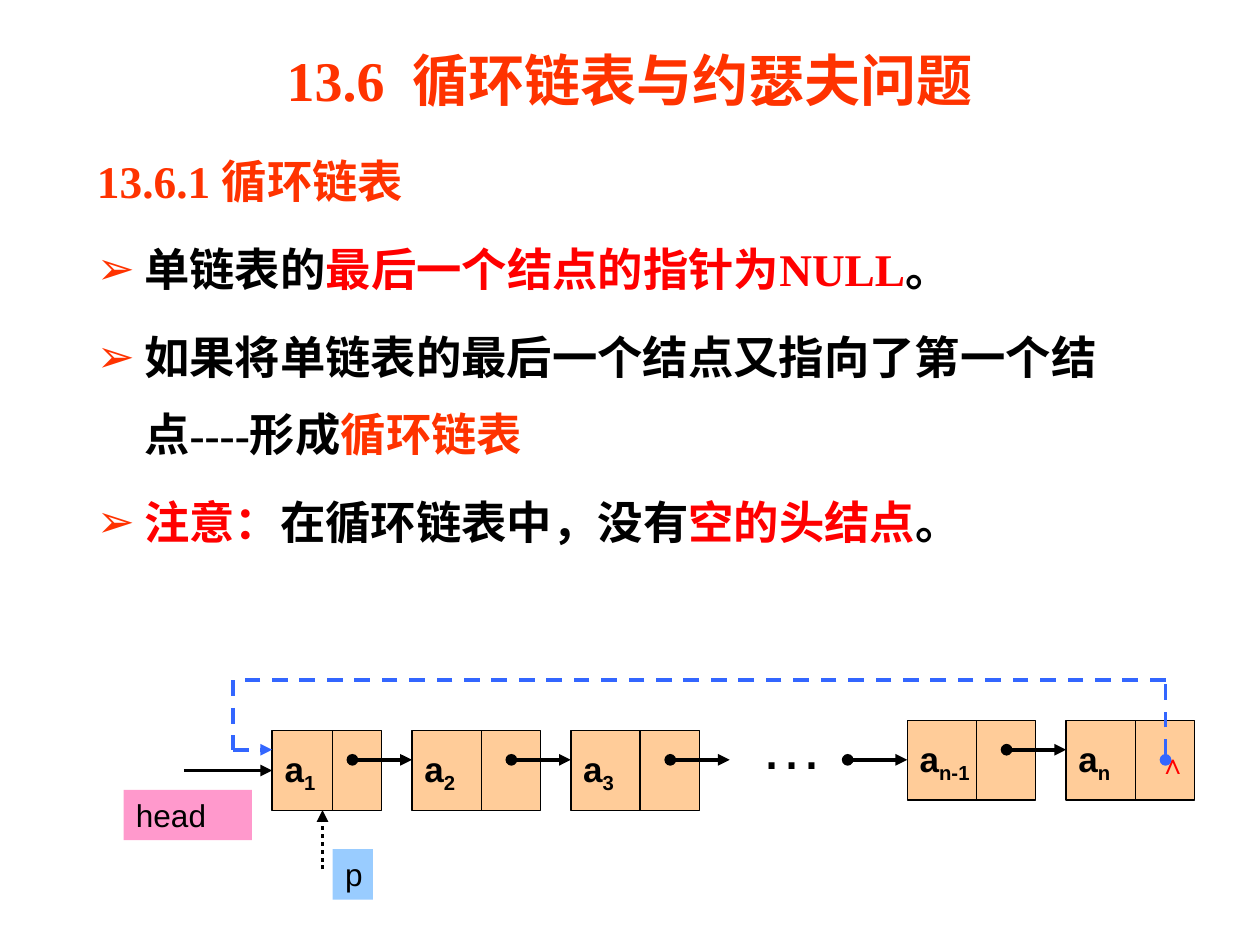
from itertools import pairwise

from lxml import etree
from pptx import Presentation
from pptx.dml.color import RGBColor
from pptx.enum import dml, shapes, text
from pptx.oxml.ns import qn
from pptx.util import Pt

BLACK = RGBColor(0x00, 0x00, 0x00)
RED = RGBColor(0xFF, 0x00, 0x00)
ORANGE = RGBColor(0xFF, 0x33, 0x00)
PEACH = RGBColor(0xFF, 0xCC, 0x99)
PINK = RGBColor(0xFF, 0x99, 0xCC)
SKY = RGBColor(0x99, 0xCC, 0xFF)
BLUE = RGBColor(0x33, 0x66, 0xFF)
SERIF, SANS = "Times New Roman", "Arial"

NODE_W, NODE_H = 73.5, 45.4
DATA_W = 39.6
POINTER_Y = 16.6
POINTER_LEN = 34


def add_text(paragraph, words, size=20, font=SANS, color=BLACK, bold=False, baseline=0):
    run = paragraph.add_run()
    run.text = words
    run.font.size = Pt(size)
    run.font.name = font
    run.font.bold = bold
    run.font.color.rgb = color
    if baseline:
        run._r.get_or_add_rPr().set("baseline", str(baseline * 1000))


def move(shape, left, top, width, height):
    shape.left, shape.top = Pt(left), Pt(top)
    shape.width, shape.height = Pt(width), Pt(height)


def add_label(slide, box, words, fill=None, **style):
    """Add a text box at (left, top, width, height) and return its paragraph."""
    label = slide.shapes.add_textbox(*map(Pt, box))
    label.text_frame.word_wrap = True
    if fill is not None:
        label.fill.solid()
        label.fill.fore_color.rgb = fill
    paragraph = label.text_frame.paragraphs[0]
    add_text(paragraph, words, **style)
    return paragraph


def add_line(slide, start, end, color=BLACK, width=2.25, dash=None, oval=False, arrow=False):
    line = slide.shapes.add_connector(
        shapes.MSO_CONNECTOR.STRAIGHT, *map(Pt, (*start, *end)))
    line.line.color.rgb = color
    line.line.width = Pt(width)
    if dash is not None:
        line.line.dash_style = dash
    ln = line.line._get_or_add_ln()
    if oval:
        etree.SubElement(ln, qn("a:headEnd"), type="oval")
    if arrow:
        etree.SubElement(ln, qn("a:tailEnd"), type="triangle")
    etree.SubElement(line._element.spPr, qn("a:effectLst"))
    return line


def add_title(slide, box):
    title = slide.shapes.title
    move(title, *box)
    frame = title.text_frame
    frame.auto_size = text.MSO_AUTO_SIZE.NONE
    frame.vertical_anchor = text.MSO_ANCHOR.MIDDLE
    heading = frame.paragraphs[0]
    heading.alignment = text.PP_ALIGN.CENTER
    add_text(heading, "13.6  循环链表与约瑟夫问题",
             size=32, font=SERIF, color=ORANGE, bold=True)


def set_bullet(paragraph, char):
    """Hang the paragraph, with an orange bullet or with none."""
    pPr = paragraph._p.get_or_add_pPr()
    pPr.set("marL", str(Pt(27)))
    pPr.set("indent", str(-Pt(27)))
    if char:
        color = etree.SubElement(pPr, qn("a:buClr"))
        etree.SubElement(color, qn("a:srgbClr"), val=str(ORANGE))
        etree.SubElement(pPr, qn("a:buChar"), char=char)
    else:
        etree.SubElement(pPr, qn("a:buNone"))


def add_points(slide, box):
    points = [
        (None, [("13.6.1 循环链表", ORANGE)]),
        ("➢", [("单链表的", BLACK), ("最后一个结点的指针为NULL", RED), ("。", BLACK)]),
        ("➢", [("如果将单链表的最后一个结点又指向了第一个结点----形成", BLACK),
               ("循环链表", ORANGE)]),
        ("➢", [("注意：", RED), ("在循环链表中，没有", BLACK),
               ("空的头结点", RED), ("。", BLACK)]),
    ]
    body = slide.placeholders[1]
    move(body, *box)
    frame = body.text_frame
    frame.auto_size = text.MSO_AUTO_SIZE.NONE
    frame.vertical_anchor = text.MSO_ANCHOR.TOP
    for i, (bullet, pieces) in enumerate(points):
        paragraph = frame.add_paragraph() if i else frame.paragraphs[0]
        paragraph.alignment = text.PP_ALIGN.LEFT
        paragraph.line_spacing = 1.4
        paragraph.space_before = Pt(7)
        set_bullet(paragraph, bullet)
        for words, color in pieces:
            add_text(paragraph, words, size=25.9, font=SERIF, color=color, bold=True)


def add_node(slide, left, top, index, width=NODE_W, data_w=DATA_W, label_w=45.4):
    """Add one list node: a data cell, a pointer cell and its label."""
    node = slide.shapes.add_shape(
        shapes.MSO_SHAPE.RECTANGLE, *map(Pt, (left, top, width, NODE_H)))
    node.shadow.inherit = False
    node.fill.solid()
    node.fill.fore_color.rgb = PEACH
    node.line.color.rgb = BLACK
    node.line.width = Pt(0.75)
    divider = left + data_w
    add_line(slide, (divider, top), (divider, top + NODE_H), width=0.75)
    name = add_label(slide, (left, top + 5.8, label_w, 34.6), "a", bold=True)
    add_text(name, index, bold=True, baseline=-25)
    return node


def add_pointer(slide, left, top):
    y = top + POINTER_Y
    add_line(slide, (left, y), (left + POINTER_LEN, y), oval=True, arrow=True)


def add_circular_list(slide, left, top):
    """Draw the list with its loop; left and top are the loop's corner."""
    front, back = top + 28.8, top + 23
    first, second, third, before_last, last = (
        left + x for x in (22.3, 102.2, 193, 385.2, 476))

    first_node = add_node(slide, first, front, "1", 62.6, 34.6, 42.5)
    add_node(slide, second, front, "2")
    add_node(slide, third, front, "3")
    add_node(slide, before_last, back, "n-1", label_w=51)
    add_node(slide, last, back, "n")

    for target in (second, third, third + 90.8, before_last):
        add_pointer(slide, target - POINTER_LEN, front)
    add_pointer(slide, last - POINTER_LEN, back)
    add_label(slide, (left + 294.5, top + 11.5, 45.4, 50.4), "…", size=36)

    add_label(slide, (left - 62.6, top + 62.6, 73.4, 28.8), "head", fill=PINK, size=18)
    middle = front + NODE_H / 2
    head_arrow = add_line(slide, (first - 50.4, middle), (first, middle), arrow=True)
    head_arrow.end_connect(first_node, 1)

    p_x = first + 28.8
    add_line(slide, (p_x, front + 79.2), (p_x, front + NODE_H),
             dash=dml.MSO_LINE.ROUND_DOT, arrow=True)
    add_label(slide, (first + 34.6, front + 67.7, 23, 28.8), "p", fill=SKY, size=18)

    null_mark = add_label(slide, (last + 46, back + 11.5, 28, 23.8), "∧",
                          size=16, font=SERIF, color=RED, bold=True)
    null_mark.alignment = text.PP_ALIGN.JUSTIFY

    right, entry = left + 532.8, top + 39.6
    corners = [(right, front + POINTER_Y), (right, top), (left, top),
               (left, entry), (first, entry)]
    for start, end in pairwise(corners):
        add_line(slide, start, end, color=BLUE, dash=dml.MSO_LINE.DASH,
                 oval=start == corners[0], arrow=end == corners[-1])


def main():
    deck = Presentation()
    deck.slide_width, deck.slide_height = Pt(720), Pt(540)
    slide = deck.slides.add_slide(deck.slide_layouts[1])
    add_title(slide, (54, 0, 612, 90))
    add_points(slide, (48.2, 71.3, 617.8, 232.6))
    add_circular_list(slide, 133.2, 388.8)
    deck.save("out.pptx")


if __name__ == "__main__":
    main()
